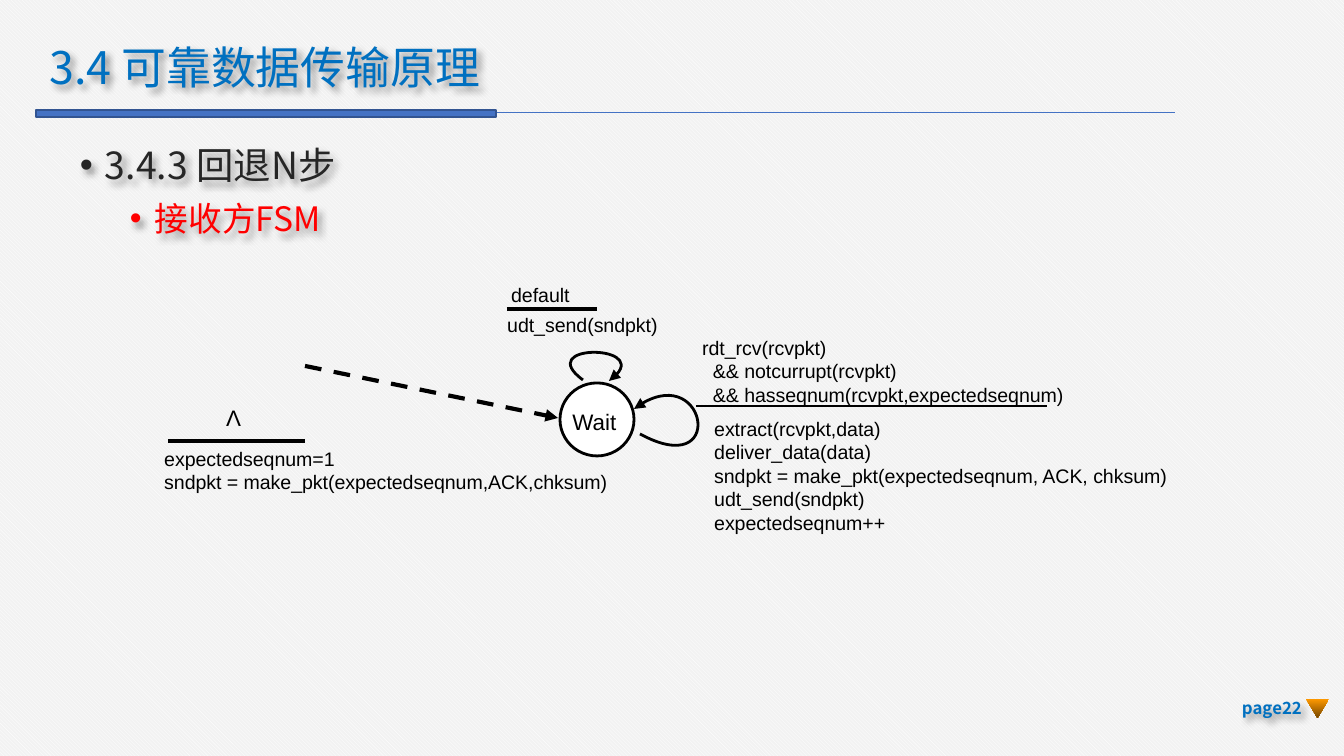
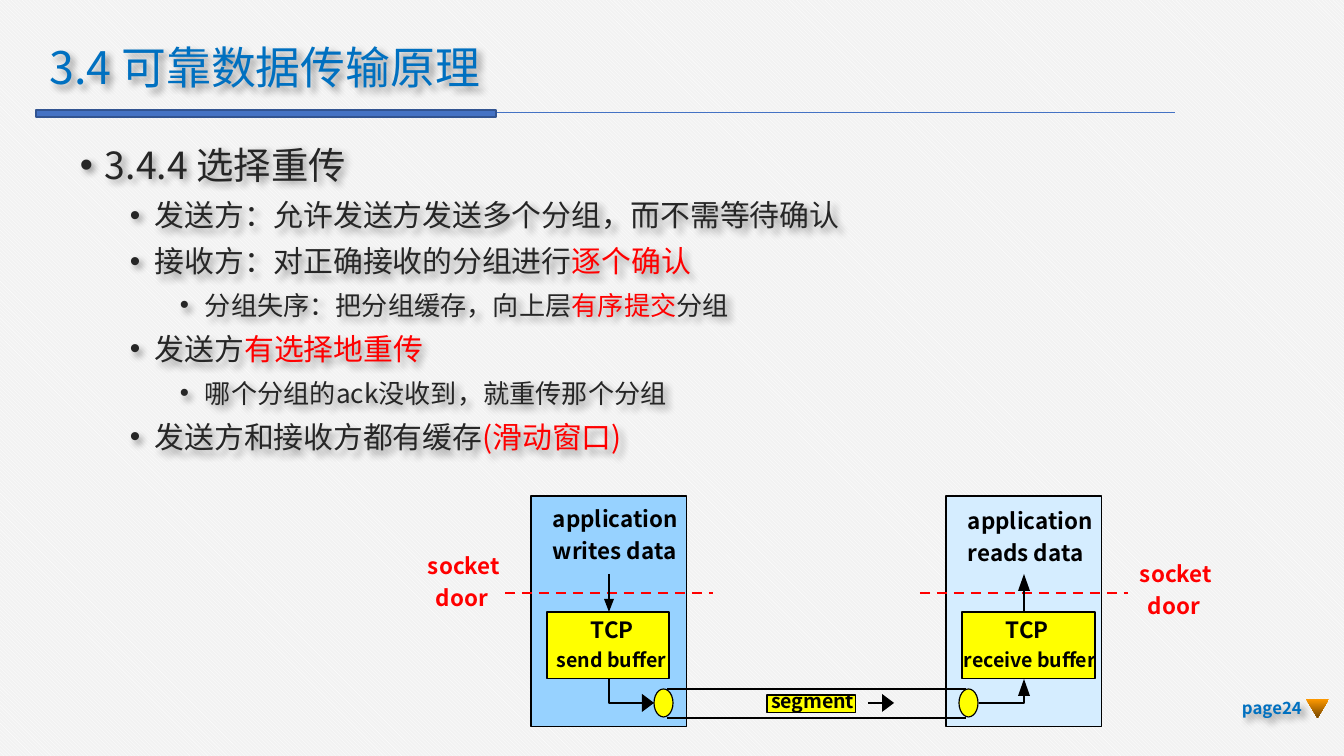
from lxml.etree import SubElement
from pptx import Presentation
from pptx.dml.color import RGBColor
from pptx.enum.dml import MSO_LINE, MSO_PATTERN
from pptx.enum.shapes import MSO_CONNECTOR, MSO_SHAPE
from pptx.enum.text import MSO_ANCHOR, MSO_AUTO_SIZE, PP_ALIGN
from pptx.oxml import parse_xml
from pptx.oxml.ns import nsdecls, qn
from pptx.util import Emu, Pt

EMU_PER_PX = 914400 / 134.4
SANS, ARIAL = "Noto Sans CJK SC", "Arial"

BLACK = RGBColor(0x00, 0x00, 0x00)
WHITE = RGBColor(0xFF, 0xFF, 0xFF)
PAPER = RGBColor(0xF2, 0xF2, 0xF2)
INK = RGBColor(0x26, 0x26, 0x26)
RED = RGBColor(0xFF, 0x00, 0x00)
YELLOW = RGBColor(0xFF, 0xFF, 0x00)
TITLE_BLUE = RGBColor(0x00, 0x70, 0xC0)
BAND = RGBColor(0x44, 0x72, 0xC4)
BAND_EDGE = RGBColor(0x32, 0x54, 0x91)
SENDER = RGBColor(0x97, 0xD2, 0xFF)
RECEIVER = RGBColor(0xD5, 0xED, 0xFF)
ORANGE = RGBColor(0xFF, 0x99, 0x00)
BROWN = RGBColor(0x76, 0x47, 0x00)

THIN = 0.63
STEM = 78       # from the left edge of a host to its vertical arrows
PIPE_Y = 703    # middle of the pipe between the hosts
BULLET_INDENTS = (26, 76, 126)


def px(*lengths):
    return [Emu(round(length * EMU_PER_PX)) for length in lengths]


# Text

def style_span(span, size, color, font, bold=False):
    span.font.size = Pt(size)
    span.font.bold = bold
    span.font.color.rgb = color
    span.font.name = font
    latin = span.font._element.find(qn("a:latin"))
    latin.addnext(parse_xml(f'<a:ea {nsdecls("a")} typeface="{font}"/>'))


def add_shadow(box):
    """A soft shadow, which the text of an unfilled box casts."""
    box.element.spPr.append(parse_xml(
        f'<a:effectLst {nsdecls("a")}><a:outerShdw blurRad="50800" dist="38100" '
        'dir="2700000" algn="tl" rotWithShape="0"><a:srgbClr val="000000">'
        '<a:alpha val="40000"/></a:srgbClr></a:outerShdw></a:effectLst>'))


def add_text(slide, area, lines, size, color=BLACK, font=ARIAL, bold=False,
             align=PP_ALIGN.LEFT, anchor=MSO_ANCHOR.TOP):
    box = slide.shapes.add_textbox(*px(*area))
    frame = box.text_frame
    frame.word_wrap = True
    frame.vertical_anchor = anchor
    frame.text = "\n".join(lines)
    for para in frame.paragraphs:
        para.alignment = align
        for span in para.runs:
            style_span(span, size, color, font, bold)
    return box


def add_label(slide, left, top, text, size=12, color=BLACK):
    """One bold line whose box hugs the text."""
    box = add_text(slide, (left, top, 16 * len(text), 27), [text], size, color,
                   SANS, bold=True)
    frame = box.text_frame
    frame.margin_left = frame.margin_right = frame.margin_top = frame.margin_bottom = 0
    frame.word_wrap = False
    frame.auto_size = MSO_AUTO_SIZE.SHAPE_TO_FIT_TEXT


def add_bullets(slide, height, space, items):
    """Each item is its level, its size and its (text, colour) spans."""
    box = slide.shapes.add_textbox(*px(70, 137, 1159, height))
    add_shadow(box)
    frame = box.text_frame
    frame.word_wrap = True
    frame.margin_left, frame.margin_right, frame.margin_top, frame.margin_bottom = px(9, 9, 5, 5)
    for index, (level, size, spans) in enumerate(items):
        para = frame.add_paragraph() if index else frame.paragraphs[0]
        para.level = level
        if index:
            para.space_before = Pt(space)
        indent, hanging = px(BULLET_INDENTS[level], -25)
        properties = para._p.get_or_add_pPr()
        properties.set("marL", str(indent))
        properties.set("indent", str(hanging))
        SubElement(properties, qn("a:buFont"), typeface="Arial")
        SubElement(properties, qn("a:buChar"), char="•")
        for text, color in spans:
            span = para.add_run()
            span.text = text
            style_span(span, size, color, SANS)


# Shapes and lines

def set_line(item, color, width, dash=None, arrow=False):
    if color is None:
        item.line.fill.background()
        return
    item.line.color.rgb = color
    item.line.width = Pt(width)
    if dash:
        item.line.dash_style = dash
    if arrow:
        SubElement(item.element.spPr.find(qn("a:ln")), qn("a:tailEnd"), type="triangle")


def add_box(slide, kind, area, fill, line=BLACK, width=THIN):
    shape = slide.shapes.add_shape(kind, *px(*area))
    shape.shadow.inherit = False
    shape.fill.solid()
    shape.fill.fore_color.rgb = fill
    set_line(shape, line, width)


def add_line(slide, x1, y1, x2, y2, width=THIN, color=BLACK, dash=None, arrow=False):
    line = slide.shapes.add_connector(MSO_CONNECTOR.STRAIGHT, *px(x1, y1, x2, y2))
    set_line(line, color, width, dash, arrow)
    SubElement(line.element.spPr, qn("a:effectLst"))


def add_outline(slide, points, fill=None, width=THIN, arrow=False):
    """A filled closed outline, or an open stroke when there is no fill."""
    points = [px(*point) for point in points]
    builder = slide.shapes.build_freeform(*points[0])
    builder.add_line_segments(points[1:], close=fill is not None)
    shape = builder.convert_to_shape()
    shape.shadow.inherit = False
    if fill is None:
        shape.fill.background()
        set_line(shape, BLACK, width, arrow=arrow)
    else:
        shape.fill.solid()
        shape.fill.fore_color.rgb = fill
        set_line(shape, None, width)
    return shape


def add_tip(slide, x, y, dx, dy, half):
    """A black arrow tip at x, y; dx, dy lead from its base to its tip."""
    across = (0, half) if dx else (half, 0)
    add_outline(slide, [(x, y), (x - dx + across[0], y - dy + across[1]),
                        (x - dx - across[0], y - dy - across[1])], BLACK)


def add_loop(slide, *corners):
    """A transition back to the same state: start, two controls, end of a cubic."""
    shape = add_outline(slide, corners, width=1.5, arrow=True)
    segments = list(shape.element.iter(qn("a:lnTo")))
    curve = SubElement(segments[0].getparent(), qn("a:cubicBezTo"))
    for segment in segments:
        curve.append(segment[0])
        segment.getparent().remove(segment)


# Shared frame of the slides

def add_page(deck, number):
    page = deck.slides.add_slide(deck.slide_layouts[6])
    paper = page.background.fill
    paper.patterned()
    paper.pattern = MSO_PATTERN.DARK_DOWNWARD_DIAGONAL
    paper.fore_color.rgb, paper.back_color.rgb = WHITE, PAPER
    add_line(page, 1175, 113, 36, 113, 0.5, BAND)
    add_box(page, MSO_SHAPE.RECTANGLE, (36, 110, 460, 7), BAND, BAND_EDGE, 1)
    title = add_text(page, (36, 40, 573, 59), ["3.4 可靠数据传输原理"], 24, TITLE_BLUE,
                     SANS, anchor=MSO_ANCHOR.MIDDLE)
    title.text_frame.paragraphs[0].line_spacing = 0.9
    add_shadow(title)
    footer = add_text(page, (1222, 688, 93, 40), [f"page{number}"], 9, TITLE_BLUE, SANS,
                      True, PP_ALIGN.RIGHT, MSO_ANCHOR.MIDDLE)
    add_shadow(footer)
    marker = page.shapes.add_shape(MSO_SHAPE.FLOWCHART_MERGE, *px(1306, 699, 23, 19))
    marker.shadow.inherit = False
    marker.fill.gradient()
    marker.fill.gradient_angle = 270
    for stop, color in zip(marker.fill.gradient_stops, (ORANGE, BROWN)):
        stop.color.rgb = color
    set_line(marker, None, 0)
    return page


# Slide parts

def draw_receiver_fsm(page):
    add_box(page, MSO_SHAPE.OVAL, (560, 383, 74, 73), WHITE, width=1.5)
    add_text(page, (550, 402, 89, 27), ["Wait"], 12, align=PP_ALIGN.CENTER)
    # start
    add_line(page, 305, 366, 558, 418, 2.25, dash=MSO_LINE.DASH, arrow=True)
    add_text(page, (212, 398, 43, 40), ["Λ"], 12, align=PP_ALIGN.CENTER)
    add_line(page, 168, 441, 305, 441, 2.25)
    add_text(page, (151, 440, 480, 56),
             ["expectedseqnum=1", "sndpkt = make_pkt(expectedseqnum,ACK,chksum)"], 10.5)
    # default transition
    add_text(page, (494, 306, 179, 35), ["udt_send(sndpkt)"], 10.5)
    add_text(page, (498, 276, 153, 26), ["default"], 10.5)
    add_line(page, 507, 309, 597, 309, 2.25)
    add_loop(page, (583, 380), (534, 344), (660, 344), (609, 381))
    # packet received in order
    add_loop(page, (640, 434), (726, 481), (706, 355), (634, 409))
    add_text(page, (689, 329, 394, 62),
             ["rdt_rcv(rcvpkt)", "  && notcurrupt(rcvpkt)",
              "  && hasseqnum(rcvpkt,expectedseqnum)"], 10.5)
    add_line(page, 696, 406, 1047, 406, 1.5)
    add_text(page, (701, 410, 511, 94),
             ["extract(rcvpkt,data)", "deliver_data(data)",
              "sndpkt = make_pkt(expectedseqnum, ACK, chksum)",
              "udt_send(sndpkt)", "expectedseqnum++"], 10.5)


def draw_door(page, left, y):
    """A dashed line across a host, ending in a short dash."""
    right = left + 208
    for start in range(left, right, 17):
        add_line(page, start, y, min(start + 10, right), y, color=RED)


def draw_host(page, left, fill, action, action_top, buffer, buffer_width, buffer_left,
              door_left, door_top):
    add_box(page, MSO_SHAPE.RECTANGLE, (left, 496, 156, 231), fill)
    add_box(page, MSO_SHAPE.RECTANGLE, (left + 16, 612, buffer_width, 67), YELLOW)
    draw_door(page, left - 26, 593)
    add_label(page, left + 22, action_top, "application")
    add_label(page, left + 22, action_top + 32, action)
    add_label(page, left + 60, 616, "TCP")
    add_label(page, buffer_left, 648, buffer, 10.5)
    add_label(page, door_left, door_top, "socket", color=RED)
    add_label(page, door_left + 8, door_top + 32, "door", color=RED)


def draw_buffers(page):
    sender, receiver = 531, 946
    draw_host(page, sender, SENDER, "writes data", 505, "send buffer", 122, 557, 428, 552)
    draw_host(page, receiver, RECEIVER, "reads data", 507, "receive buffer", 133, 964, 1140, 560)
    # between application and buffer
    add_line(page, sender + STEM, 574, sender + STEM, 600)
    add_tip(page, sender + STEM, 612, 0, 13, 5)
    add_line(page, receiver + STEM, 589, receiver + STEM, 612)
    add_tip(page, receiver + STEM, 574, 0, -17, 6)
    # pipe
    for left in (654, 959):
        add_box(page, MSO_SHAPE.OVAL, (left, 689, 19, 28), YELLOW)
    for y in (689, 718):
        add_line(page, 667, y, 966, y)
    add_box(page, MSO_SHAPE.RECTANGLE, (767, 695, 89, 18), YELLOW)
    add_label(page, 771, 689, "segment", 10.5)
    add_line(page, 868, PIPE_Y, 884, PIPE_Y)
    add_tip(page, 894, PIPE_Y, 12, 0, 9)
    # between buffer and pipe
    add_outline(page, [(sender + STEM, 679), (sender + STEM, PIPE_Y), (643, PIPE_Y)])
    add_tip(page, 654, PIPE_Y, 12, 0, 9)
    add_outline(page, [(979, PIPE_Y), (receiver + STEM, PIPE_Y), (receiver + STEM, 695)])
    add_tip(page, receiver + STEM, 679, 0, -17, 6)


def main():
    deck = Presentation()
    deck.slide_width, deck.slide_height = px(1344, 756)

    page = add_page(deck, 22)
    draw_receiver_fsm(page)
    add_bullets(page, 122, 6, [(0, 20, [("3.4.3 回退N步", INK)]),
                               (1, 18, [("接收方FSM", RED)])])

    page = add_page(deck, 24)
    add_bullets(page, 336, 5.5, [
        (0, 20, [("3.4.4 选择重传", INK)]),
        (1, 16, [("发送方：允许发送方发送多个分组，而不需等待确认", INK)]),
        (1, 16, [("接收方：对正确接收的分组进行", INK), ("逐个确认", RED)]),
        (2, 14, [("分组失序：把分组缓存，向上层", INK), ("有序提交", RED), ("分组", INK)]),
        (1, 16, [("发送方", INK), ("有选择地重传", RED)]),
        (2, 14, [("哪个分组的ack没收到，就重传那个分组", INK)]),
        (1, 16, [("发送方和接收方都有缓存", INK), ("(滑动窗口)", RED)]),
    ])
    draw_buffers(page)
    deck.save("out.pptx")


if __name__ == "__main__":
    main()
